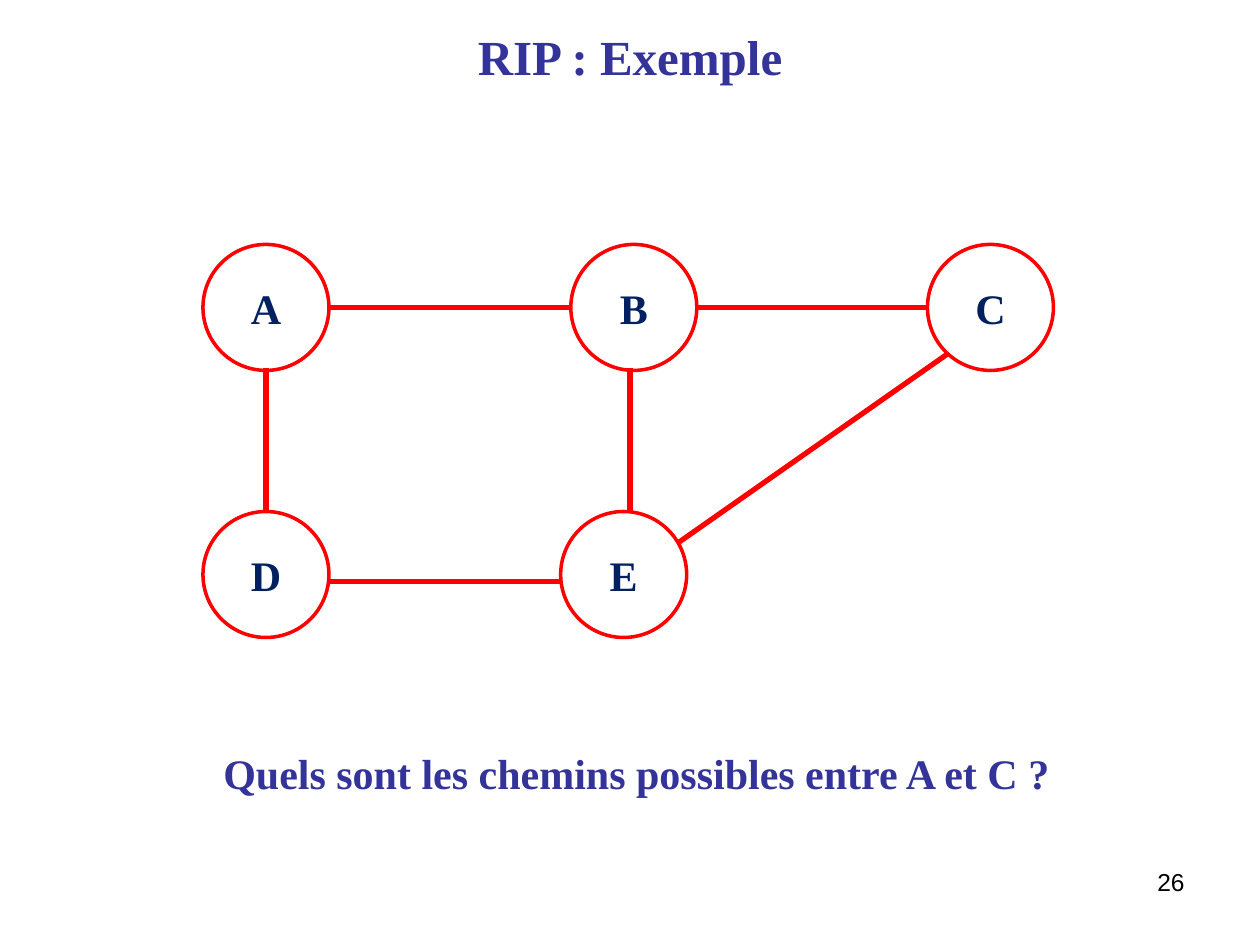
from collections import namedtuple
from dataclasses import dataclass

from lxml.etree import SubElement
from pptx import Presentation
from pptx.dml.color import RGBColor
from pptx.enum.shapes import MSO_CONNECTOR as Connector, MSO_SHAPE as Shape
from pptx.enum.text import MSO_ANCHOR as Anchor, PP_ALIGN as Align
from pptx.oxml.ns import qn
from pptx.util import Pt

Box = namedtuple("Box", "left top width height")


@dataclass(frozen=True)
class Theme:
    """Colours, fonts and sizes of the slide."""
    heading: RGBColor = RGBColor(0x33, 0x33, 0x99)
    label: RGBColor = RGBColor(0x00, 0x20, 0x60)
    link: RGBColor = RGBColor(0xFF, 0x00, 0x00)
    paper: RGBColor = RGBColor(0xFF, 0xFF, 0xFF)
    number: RGBColor = RGBColor(0x00, 0x00, 0x00)
    serif: str = "Times New Roman"
    sans: str = "Arial"
    title_size: int = 28
    body_size: int = 24
    number_size: int = 14
    outline_width: int = 2
    link_width: int = 3


THEME = Theme()
ROUTER_SIZE = 72
ROUTERS = {"A": (0, 0), "E": (204.4, 152.6), "D": (0, 152.6),
           "C": (414, 0), "B": (210.2, 0)}
LINKS = [((72, 36), (210.2, 36)), ((282.2, 36), (414, 36)),
         ((36, 70.5), (36, 152.6)), ((244, 70.5), (244, 152.6)),
         ((71.3, 192.6), (204.4, 192.6)), ((425.4, 62.6), (272.2, 170))]


def points(values):
    """Turn numbers into lengths in points."""
    return [Pt(value) for value in values]


def write(frame, text, *, size, color, font=THEME.serif, bold=True,
          align=Align.CENTER, anchor=Anchor.MIDDLE, wrap=True):
    """Fill a text frame with one formatted paragraph."""
    frame.word_wrap = wrap
    frame.vertical_anchor = anchor
    paragraph = frame.paragraphs[0]
    paragraph.alignment = align
    run = paragraph.add_run()
    run.text = text
    run.font.name, run.font.size, run.font.bold = font, Pt(size), bold
    run.font.color.rgb = color


def add_title(slide, box):
    """Place the slide title."""
    title = slide.shapes.title
    title.left, title.top, title.width, title.height = points(box)
    write(title.text_frame, "RIP : Exemple", size=THEME.title_size,
          color=THEME.heading)


def add_router(slide, name, box):
    """Draw one router as a labelled circle."""
    router = slide.shapes.add_shape(Shape.OVAL, *points(box))
    router.shadow.inherit = False
    router.fill.solid()
    router.fill.fore_color.rgb = THEME.paper
    router.line.color.rgb = THEME.link
    router.line.width = Pt(THEME.outline_width)
    write(router.text_frame, name, size=THEME.body_size, color=THEME.label)


def add_link(slide, start, end):
    """Draw one line between two routers."""
    link = slide.shapes.add_connector(Connector.STRAIGHT,
                                      *points(start + end))
    link.line.color.rgb = THEME.link
    link.line.width = Pt(THEME.link_width)
    SubElement(link._element.spPr, qn("a:effectLst"))


def add_network(slide, box):
    """Draw the routers and their links from the corner of the box."""
    for name, (x, y) in ROUTERS.items():
        add_router(slide, name, Box(box.left + x, box.top + y,
                                    ROUTER_SIZE, ROUTER_SIZE))
    for ends in LINKS:
        start, end = [(box.left + x, box.top + y) for x, y in ends]
        add_link(slide, start, end)


def add_question(slide, box):
    """Place the question below the network."""
    question = slide.shapes.add_textbox(*points(box))
    write(question.text_frame, "Quels sont les chemins possibles entre A et C ?",
          size=THEME.body_size, color=THEME.heading, anchor=Anchor.TOP,
          wrap=False)


def add_page_number(slide, box):
    """Place the page number."""
    page_number = slide.shapes.add_textbox(*points(box))
    write(page_number.text_frame, "26", size=THEME.number_size,
          color=THEME.number, font=THEME.sans, bold=False, align=Align.RIGHT,
          anchor=Anchor.TOP)


def main():
    """Build and save the slide."""
    deck = Presentation()
    deck.slide_width, deck.slide_height = points((720, 540))
    slide = deck.slides.add_slide(deck.slide_layouts.get_by_name("Title Only"))
    add_title(slide, Box(36, 10, 648, 44))
    add_page_number(slide, Box(516, 492, 168, 37.5))
    add_network(slide, Box(116, 139.7, 486, 224.6))
    add_question(slide, Box(116, 423.5, 495.5, 36))
    deck.save("out.pptx")


if __name__ == "__main__":
    main()
